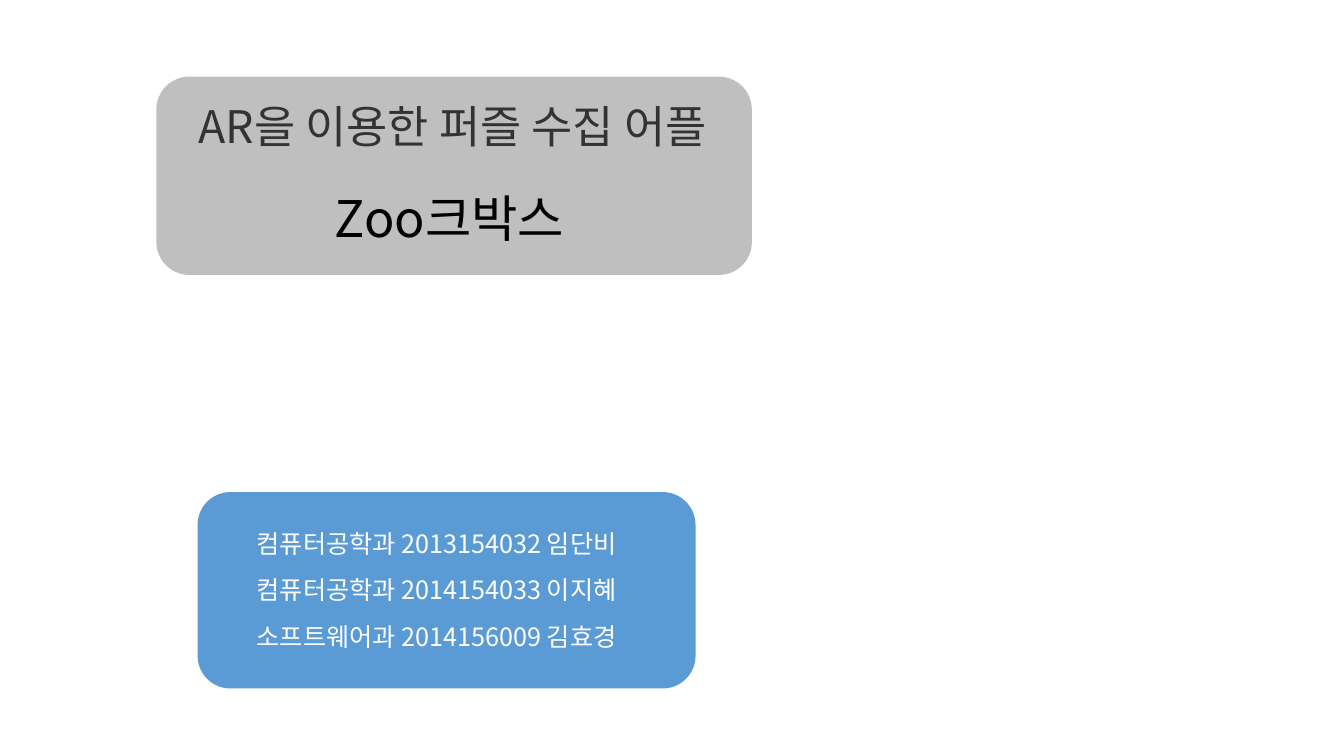
from lxml.etree import SubElement
from pptx import Presentation
from pptx.dml.color import RGBColor
from pptx.enum.shapes import MSO_SHAPE
from pptx.enum.text import PP_ALIGN
from pptx.oxml.ns import qn
from pptx.util import Cm, Pt

FONT = "Noto Sans CJK KR"
MEMBERS = [
    "컴퓨터공학과 2013154032 임단비",
    "컴퓨터공학과 2014154033 이지혜",
    "소프트웨어과 2014156009 김효경",
]


def color(hex_value):
    return RGBColor.from_string(hex_value)


def add_panel(shapes, left, top, width, height, fill, opacity=100):
    """Add a borderless rounded panel; opacity is a percentage."""
    panel = shapes.add_shape(
        MSO_SHAPE.ROUNDED_RECTANGLE, Cm(left), Cm(top), Cm(width), Cm(height)
    )
    panel.shadow.inherit = False
    panel.fill.solid()
    panel.fill.fore_color.rgb = color(fill)
    panel.line.fill.background()
    if opacity < 100:
        fill_color = panel.fill._xPr.find(qn("a:solidFill"))[0]
        SubElement(fill_color, qn("a:alpha"), val=str(opacity * 1000))


def add_label(shapes, text, left, top, width, height, size, hex_value,
              align=PP_ALIGN.LEFT):
    box = shapes.add_textbox(Cm(left), Cm(top), Cm(width), Cm(height))
    box.text_frame.word_wrap = True
    para = box.text_frame.paragraphs[0]
    para.alignment = align
    span = para.add_run()
    span.text = text
    span.font.size = Pt(size)
    span.font.name = FONT
    span.font.color.rgb = color(hex_value)
    SubElement(span.font._element, qn("a:ea"), typeface=FONT)


def add_member_card(page):
    card = page.shapes.add_group_shape()
    add_panel(card.shapes, 4.98, 12.4, 12.55, 4.95, "5B9BD5")
    for row, member in enumerate(MEMBERS):
        add_label(card.shapes, member, 6.22, 13.18 + row * 1.18, 10.5, 1.02,
                  18, "FFFFFF")


def main():
    deck = Presentation()
    deck.slide_width, deck.slide_height = Cm(33.87), Cm(19.05)
    page = deck.slides.add_slide(deck.slide_layouts[6])
    add_panel(page.shapes, 3.94, 1.93, 15.01, 5, "808080", opacity=50)
    add_member_card(page)
    add_label(page.shapes, "AR을 이용한 퍼즐 수집 어플", 1.68, 2.36, 19.46, 1.63,
              32, "333333", PP_ALIGN.CENTER)
    add_label(page.shapes, "Zoo크박스", 6.53, 4.6, 9.6, 1.8,
              36, "000000", PP_ALIGN.CENTER)
    deck.save("out.pptx")


if __name__ == "__main__":
    main()
